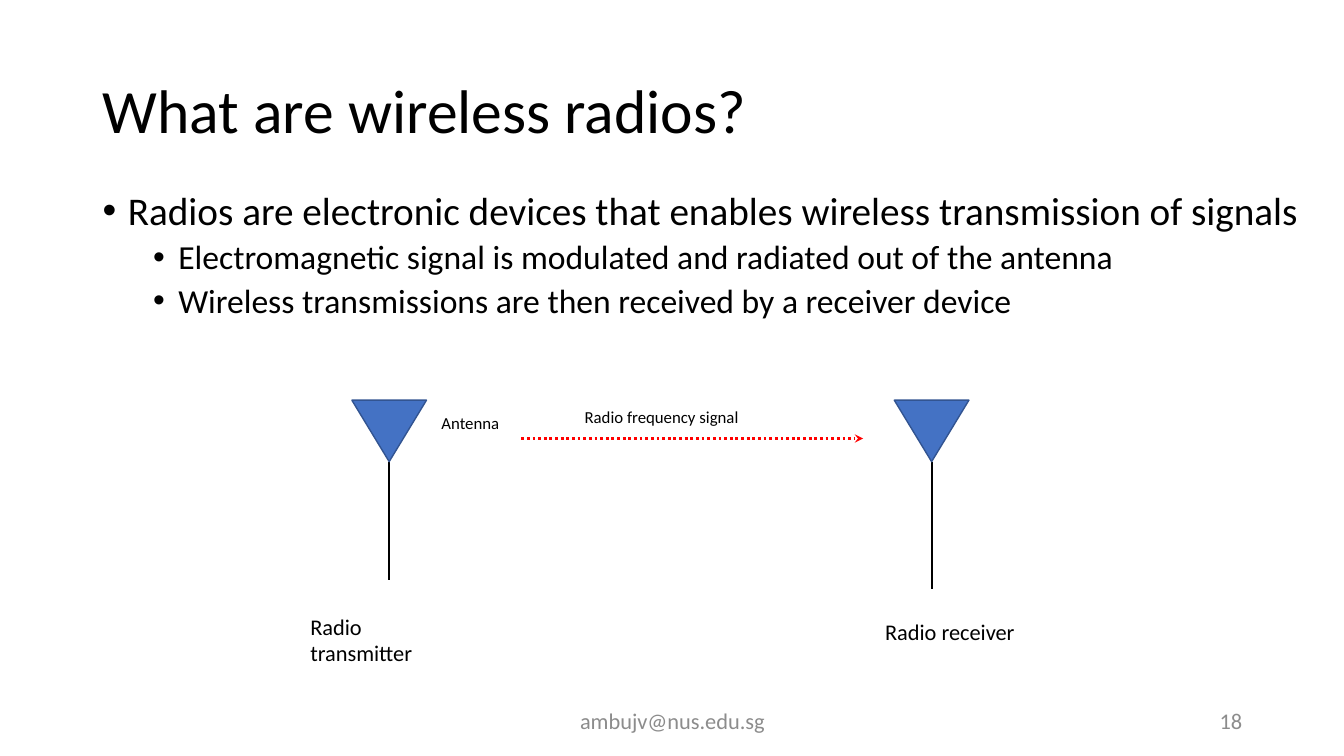
import pptx
import pptx.util
import pptx.dml.color
import pptx.enum.dml
import pptx.enum.shapes
import pptx.enum.text
import pptx.oxml.ns
from dataclasses import dataclass
from lxml import etree

SCALE = 9144  # EMU in one px, 100 px to the inch

ALIGN = pptx.enum.text.PP_ALIGN
ANCHOR = pptx.enum.text.MSO_ANCHOR
SHAPE = pptx.enum.shapes.MSO_SHAPE
LINE = pptx.enum.shapes.MSO_CONNECTOR
DASH = pptx.enum.dml.MSO_LINE


@dataclass(frozen=True)
class Theme:
    font: str = "Calibri"
    ink: str = "000000"
    grey: str = "8C8C8C"
    blue: str = "4472C4"
    edge: str = "325491"
    red: str = "FF0000"
    title: int = 44
    points: tuple = (28, 24)
    label: int = 16
    note: int = 12


THEME = Theme()

TITLE = ("What are wireless radios?", (92, 40, 1199, 145))
BODY = (92, 185, 1223, 249)
POINTS = [
    (0, "Radios are electronic devices that enables wireless transmission of signals"),
    (1, "Electromagnetic signal is modulated and radiated out of the antenna"),
    (1, "Wireless transmissions are then received by a receiver device"),
]
# centre of the antenna, foot of its mast
RADIOS = [(386, 575), (924, 584)]
HORN = (397, 74, 61)  # top, width, height
SIGNAL = (517, 435, 856, 435)
LABELS = [
    ("Radio transmitter", (298, 603, 170, 37), THEME.label),
    ("Radio receiver", (868, 608, 160, 37), THEME.label),
    ("Antenna", (428, 405, 89, 30), THEME.note),
    ("Radio frequency signal", (570, 399, 194, 30), THEME.note),
]
FOOTER = [
    ("ambujv@nus.edu.sg", (442, 695, 450, 40), ALIGN.CENTER),
    ("18", (942, 695, 300, 40), ALIGN.RIGHT),
]


def emu(*sizes):
    return [pptx.util.Emu(size * SCALE) for size in sizes]


def rgb(code):
    return pptx.dml.color.RGBColor.from_string(code)


def add_tag(parent, name, **attrs):
    return etree.SubElement(parent, pptx.oxml.ns.qn(name), attrs)


def write(para, text, size, color=THEME.ink, align=ALIGN.LEFT):
    para.alignment = align
    run = para.add_run()
    run.text = text
    run.font.name = THEME.font
    run.font.size = pptx.util.Pt(size)
    run.font.color.rgb = rgb(color)


def add_box(slide, box, anchor=ANCHOR.TOP):
    frame = slide.shapes.add_textbox(*emu(*box)).text_frame
    frame.word_wrap = True
    frame.vertical_anchor = anchor
    return frame


def add_line(slide, ends, color, width):
    link = slide.shapes.add_connector(LINE.STRAIGHT, *emu(*ends))
    link.line.color.rgb = rgb(color)
    link.line.width = pptx.util.Pt(width)
    return link


def end_line(link):
    """Switch off the shadow, once the line is fully styled."""
    add_tag(link._element.spPr, "a:effectLst")


def add_title(slide):
    text, box = TITLE
    title = slide.shapes.title
    title.left, title.top, title.width, title.height = emu(*box)
    frame = title.text_frame
    frame.word_wrap = True
    frame.auto_size = pptx.enum.text.MSO_AUTO_SIZE.NONE
    frame.vertical_anchor = ANCHOR.MIDDLE
    para = frame.paragraphs[0]
    para.line_spacing = 0.9
    write(para, text, THEME.title)


def add_points(slide):
    frame = add_box(slide, BODY)
    for index, (level, text) in enumerate(POINTS):
        para = frame.add_paragraph() if index else frame.paragraphs[0]
        para.level = level
        para.line_spacing = 0.9
        para.space_before = pptx.util.Pt(5 if index else 0)
        left, hang = emu(25 + 50 * level, -25)
        props = para._p.get_or_add_pPr()
        props.set("marL", str(left))
        props.set("indent", str(hang))
        add_tag(props, "a:buFont", typeface="Arial")
        add_tag(props, "a:buChar", char="•")
        write(para, text, THEME.points[level])


def add_radio(slide, mid, foot):
    top, width, height = HORN
    end_line(add_line(slide, (mid, top + height, mid, foot), THEME.ink, 1.5))
    horn = slide.shapes.add_shape(
        SHAPE.ISOSCELES_TRIANGLE, *emu(mid - width // 2, top, width, height))
    horn.rotation = 180
    horn.shadow.inherit = False
    horn.fill.solid()
    horn.fill.fore_color.rgb = rgb(THEME.blue)
    horn.line.color.rgb = rgb(THEME.edge)
    horn.line.width = pptx.util.Pt(1)


def add_signal(slide):
    link = add_line(slide, SIGNAL, THEME.red, 2)
    link.line.dash_style = DASH.ROUND_DOT
    stroke = link.line._get_or_add_ln()
    stroke.find(pptx.oxml.ns.qn("a:prstDash")).set("val", "sysDot")
    add_tag(stroke, "a:tailEnd", type="stealth")
    end_line(link)


def main():
    deck = pptx.Presentation()
    deck.slide_width, deck.slide_height = emu(1333, 750)
    slide = deck.slides.add_slide(deck.slide_layouts.get_by_name("Title Only"))
    add_title(slide)
    add_points(slide)
    for mid, foot in RADIOS:
        add_radio(slide, mid, foot)
    add_signal(slide)
    for text, box, size in LABELS:
        write(add_box(slide, box).paragraphs[0], text, size)
    for text, box, align in FOOTER:
        frame = add_box(slide, box, ANCHOR.MIDDLE)
        write(frame.paragraphs[0], text, THEME.label, THEME.grey, align)
    deck.save("out.pptx")


if __name__ == "__main__":
    main()
